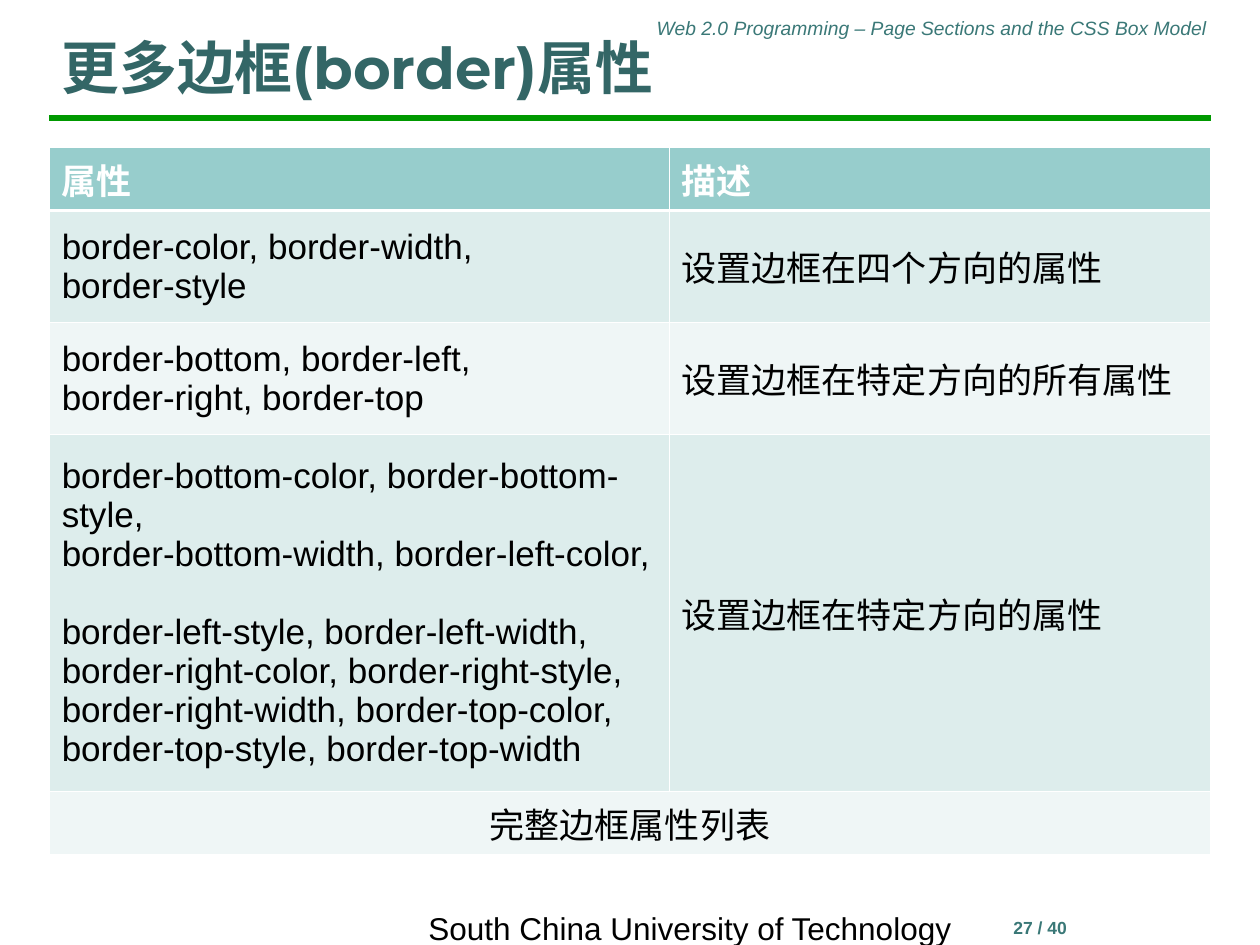
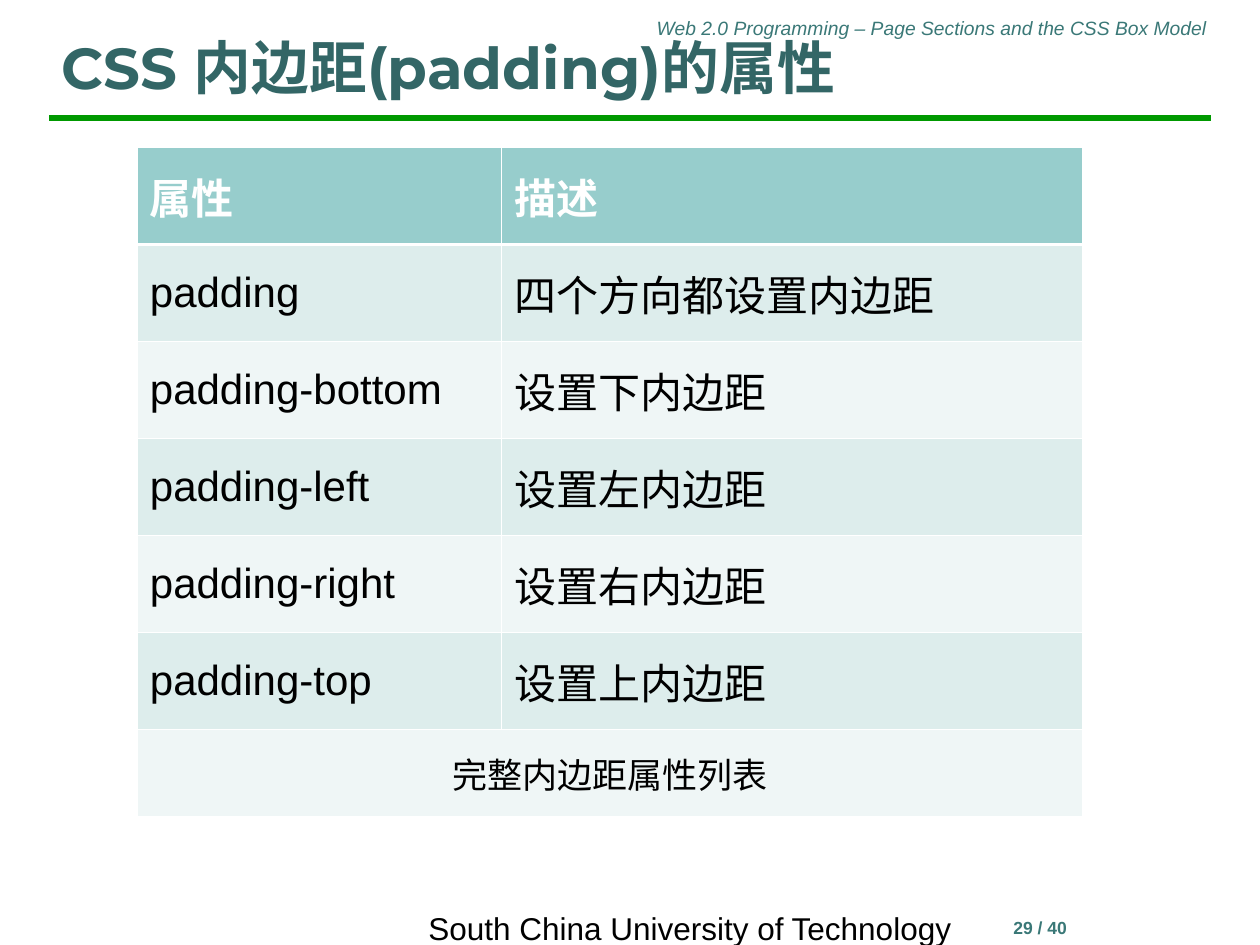
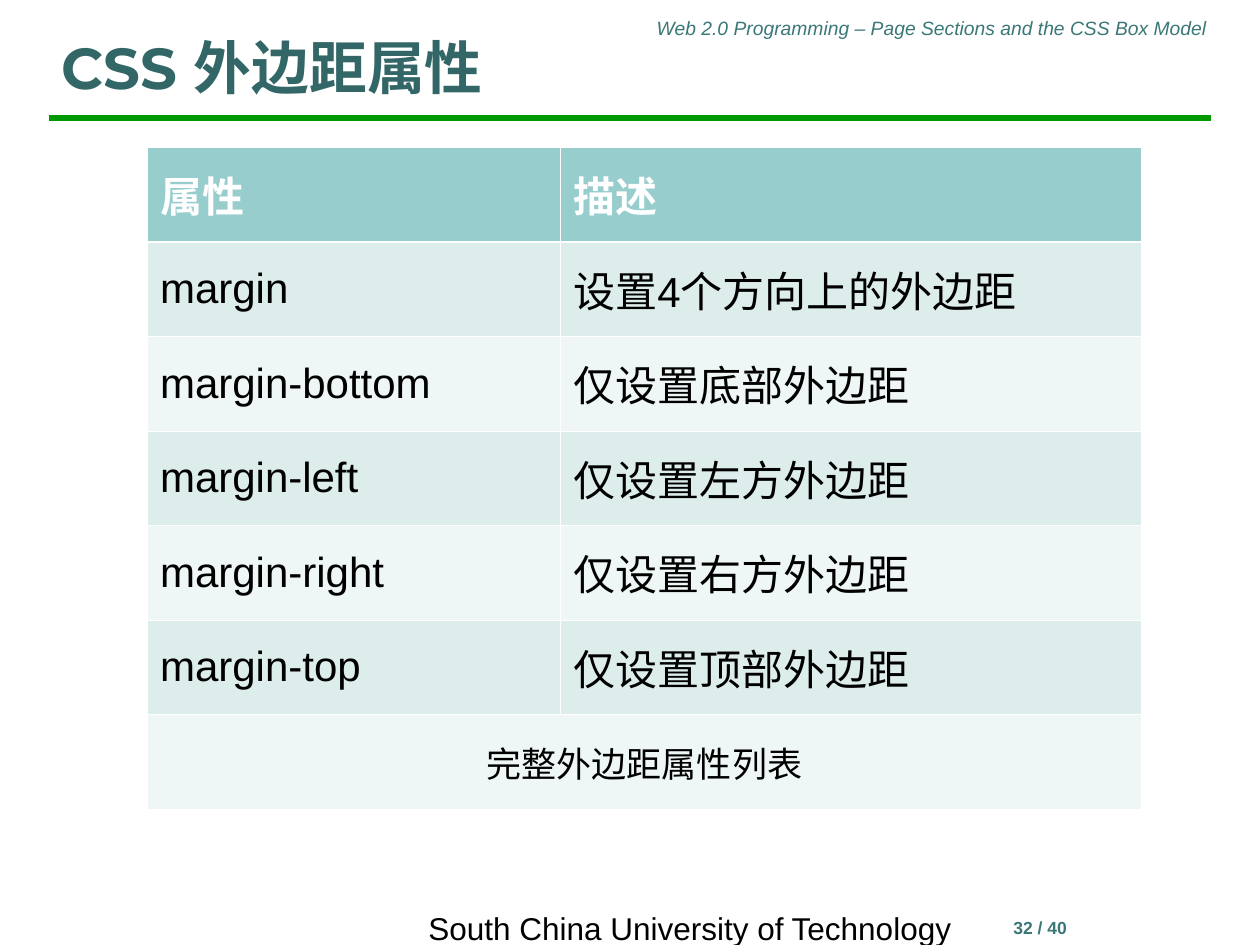
from lxml import etree
from pptx import Presentation
from pptx.dml.color import RGBColor
from pptx.enum.shapes import MSO_CONNECTOR
from pptx.enum.text import MSO_ANCHOR, PP_ALIGN
from pptx.oxml.ns import qn
from pptx.util import Inches, Pt

STRAIGHT = MSO_CONNECTOR.STRAIGHT
TOP, MIDDLE, BOTTOM = MSO_ANCHOR.TOP, MSO_ANCHOR.MIDDLE, MSO_ANCHOR.BOTTOM
LEFT, CENTER, RIGHT = PP_ALIGN.LEFT, PP_ALIGN.CENTER, PP_ALIGN.RIGHT

SLIDE_W, SLIDE_H = 10, 7.5
MARGIN = 0.39
CONTENT_W = SLIDE_W - 2 * MARGIN
RULE_Y = SLIDE_H / 8
TABLE_TOP = 1.17
FOOTER_TOP = 7.23
PAGE_COUNT = 40

COLORS = {
    "title": "336666",
    "rule": "009900",
    "note": "3A7877",
    "text": "000000",
    "white": "FFFFFF",
    "header": "97CDCC",
    "odd_row": "DDEDEC",
    "even_row": "EFF6F6",
}

TITLE_FONT = {"name": "Montserrat", "size": Pt(33), "bold": True}
COURSE_FONT = {"name": "Arial", "size": Pt(11), "italic": True}
PAGE_FONT = {"name": "Arial", "size": Pt(10), "bold": True}
SCHOOL_FONT = {"name": "Arial", "size": Pt(18)}

HEADINGS = ("属性", "描述")

BORDER_ROWS = [
    ("border-color, border-width, \nborder-style", "设置边框在四个方向的属性"),
    ("border-bottom, border-left, \nborder-right, border-top",
     "设置边框在特定方向的所有属性"),
    ("border-bottom-color, border-bottom-style, \n"
     "border-bottom-width, border-left-color, \n"
     "border-left-style, border-left-width, \n"
     "border-right-color, border-right-style, \n"
     "border-right-width, border-top-color, \n"
     "border-top-style, border-top-width", "设置边框在特定方向的属性"),
]
PADDING_ROWS = [
    ("padding", "四个方向都设置内边距"),
    ("padding-bottom", "设置下内边距"),
    ("padding-left", "设置左内边距"),
    ("padding-right", "设置右内边距"),
    ("padding-top", "设置上内边距"),
]
MARGIN_ROWS = [
    ("margin", "设置4个方向上的外边距"),
    ("margin-bottom", "仅设置底部外边距"),
    ("margin-left", "仅设置左方外边距"),
    ("margin-right", "仅设置右方外边距"),
    ("margin-top", "仅设置顶部外边距"),
]


def write(frame, text, font, color, align=LEFT):
    """Fill the only paragraph of a text frame; newlines become line breaks."""
    paragraph = frame.paragraphs[0]
    paragraph.text = text
    paragraph.alignment = align
    for run in paragraph.runs:
        for key, value in font.items():
            setattr(run.font, key, value)
        run.font.color.rgb = RGBColor.from_string(COLORS[color])


def add_label(slide, box, text, font, color, align, anchor=TOP):
    frame = slide.shapes.add_textbox(*map(Inches, box)).text_frame
    frame.word_wrap = True
    frame.vertical_anchor = anchor
    write(frame, text, font, color, align)


def add_rule(slide):
    ends = (MARGIN, RULE_Y, SLIDE_W - MARGIN, RULE_Y)
    rule = slide.shapes.add_connector(STRAIGHT, *map(Inches, ends))
    rule.line.color.rgb = RGBColor.from_string(COLORS["rule"])
    rule.line.width = Pt(3)
    etree.SubElement(rule._element.spPr, qn("a:effectLst"))


def set_title(slide, text):
    title = slide.shapes.title
    place = {"left": MARGIN, "top": 0.15, "width": CONTENT_W, "height": 0.7}
    for side, length in place.items():
        setattr(title, side, Inches(length))
    title.text_frame.word_wrap = True
    title.text_frame.vertical_anchor = BOTTOM
    write(title.text_frame, text, TITLE_FONT, "title")


def add_page(prs, title, page):
    """Add a slide with its title, rule, course name and footer."""
    slide = prs.slides.add_slide(prs.slide_layouts.get_by_name("Title Only"))
    set_title(slide, title)
    add_rule(slide)
    add_label(slide, (4.84, 0.08, 4.84, 0.29),
              "Web 2.0 Programming – Page Sections and the CSS Box Model",
              COURSE_FONT, "note", RIGHT)
    add_label(slide, (7.13, FOOTER_TOP, 2.25, 0.5), f"{page} / {PAGE_COUNT}",
              PAGE_FONT, "note", CENTER)
    add_label(slide, (3.19, FOOTER_TOP, 4.57, SLIDE_H - FOOTER_TOP),
              "South China University of Technology",
              SCHOOL_FONT, "text", CENTER, MIDDLE)
    return slide


def set_borders(cell, **widths):
    """Draw white cell borders; widths are points keyed by L, R, T and B."""
    properties = cell._tc.get_or_add_tcPr()
    for side, width in widths.items():
        line = etree.SubElement(properties, qn(f"a:ln{side}"), w=str(Pt(width)))
        fill = etree.SubElement(line, qn("a:solidFill"))
        etree.SubElement(fill, qn("a:srgbClr"), val=COLORS["white"])


def format_cell(cell, row, fill):
    thin, thick = 0.45, 1.47
    set_borders(cell, L=thin, R=thin, T=thick if row == 1 else thin,
                B=thick if row == 0 else thin)
    cell.fill.solid()
    cell.fill.fore_color.rgb = RGBColor.from_string(COLORS[fill])
    cell.vertical_anchor = MIDDLE


def add_property_table(slide, left, widths, heights, properties, caption, size):
    """Add a banded property table whose last row is one merged caption."""
    rows = [HEADINGS, *properties, (caption, "")]
    box = (left, TABLE_TOP, sum(widths), sum(heights))
    table = slide.shapes.add_table(len(rows), len(widths), *map(Inches, box)).table
    table.horz_banding = False
    for column, width in zip(table.columns, widths):
        column.width = Inches(width)

    last = len(rows) - 1
    for r, (texts, height) in enumerate(zip(rows, heights)):
        table.rows[r].height = Inches(height)
        fill = "header" if r == 0 else "odd_row" if r % 2 else "even_row"
        font = {"name": "Arial", "size": Pt(20 if r == last else size), "bold": r == 0}
        for c, text in enumerate(texts):
            cell = table.cell(r, c)
            format_cell(cell, r, fill)
            write(cell.text_frame, text, font, "white" if r == 0 else "text",
                  CENTER if r == last else LEFT)
    table.cell(last, 0).merge(table.cell(last, len(widths) - 1))


def main():
    prs = Presentation()
    prs.slide_width, prs.slide_height = Inches(SLIDE_W), Inches(SLIDE_H)

    border = add_page(prs, "更多边框(border)属性", 27)
    add_property_table(border, MARGIN, (4.92, 4.3), (0.5, 0.89, 0.89, 2.83, 0.5),
                       BORDER_ROWS, "完整边框属性列表", 20)

    padding = add_page(prs, "CSS 内边距(padding)的属性", 29)
    add_property_table(padding, 1.09, (2.89, 4.61), [0.77] * 6 + [0.69],
                       PADDING_ROWS, "完整内边距属性列表", 24)

    margin = add_page(prs, "CSS 外边距属性", 32)
    add_property_table(margin, 1.17, (3.28, 4.61), [0.75] * 7,
                       MARGIN_ROWS, "完整外边距属性列表", 24)

    prs.save("out.pptx")


if __name__ == "__main__":
    main()
